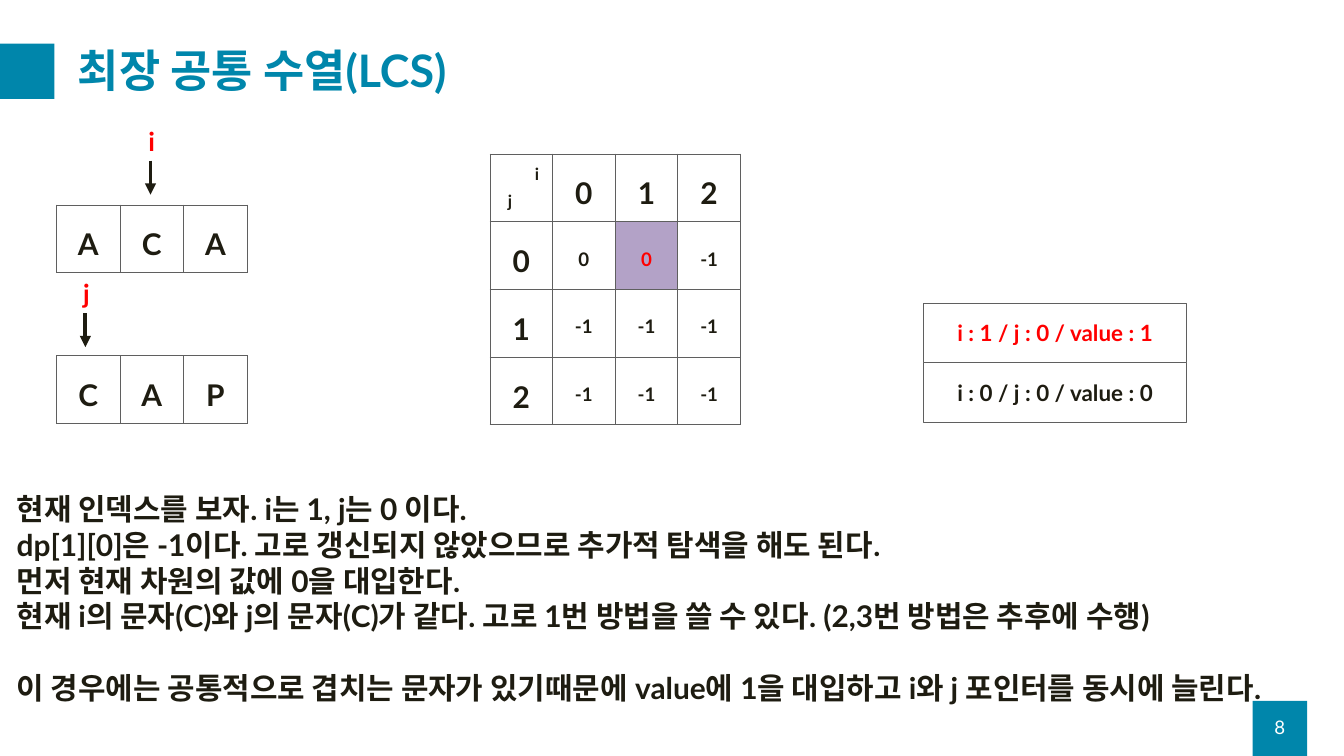
from lxml import etree
from pptx import Presentation
from pptx.dml.color import RGBColor
from pptx.enum.shapes import MSO_CONNECTOR, MSO_SHAPE
from pptx.enum.text import MSO_ANCHOR, MSO_AUTO_SIZE, PP_ALIGN
from pptx.oxml import parse_xml
from pptx.oxml.ns import nsdecls, qn
from pptx.util import Inches, Pt

RECTANGLE = MSO_SHAPE.RECTANGLE
STRAIGHT = MSO_CONNECTOR.STRAIGHT
MIDDLE = MSO_ANCHOR.MIDDLE
LEFT, CENTER = PP_ALIGN.LEFT, PP_ALIGN.CENTER
TEAL, INK, RED, WHITE = "0086AB", "1E1C11", "FF0000", "FFFFFF"
GRAY, PURPLE = "5F5F5F", "B3A2C7"
rgb = RGBColor.from_string

deck = Presentation()
deck.slide_width, deck.slide_height = Inches(20), Inches(11.25)
page = deck.slides.add_slide(deck.slide_layouts[5])
shapes = page.shapes


def place(left, top, width, height):
    column, row = deck.slide_width / 100, deck.slide_height / 100
    return [round(n) for n in (left * column, top * row, width * column, height * row)]


def write(para, text, size, color=INK, bold=True, align=LEFT):
    para.text = text
    para.alignment = align
    para.font.name = "Lato"
    para.font.size = Pt(size)
    para.font.bold = bold
    para.font.color.rgb = rgb(color)


for left, top in ((93.2, 92.71), (0, 5.78)):
    block = shapes.add_shape(RECTANGLE, *place(left, top, 4.05, 7.29))
    block.shadow.inherit = False
    block.fill.solid()
    block.fill.fore_color.rgb = rgb(TEAL)
    block.line.fill.background()

title = shapes.title
title.left, title.top, title.width, title.height = place(5.3, 4.44, 91.25, 10.49)
title.text_frame.auto_size = MSO_AUTO_SIZE.NONE
title.text_frame.vertical_anchor = MIDDLE
write(title.text_frame.paragraphs[0], "최장 공통 수열(LCS)", 48, TEAL)
title.text_frame.paragraphs[0].line_spacing = 0.9

number = shapes.add_textbox(*place(93.2, 93.51, 4.05, 5.33)).text_frame
number.word_wrap = True
number.vertical_anchor = MIDDLE
write(number.paragraphs[0], "8", 20, WHITE, False, CENTER)

explanation = [
    "현재 인덱스를 보자. i는 1, j는 0 이다.",
    "dp[1][0]은 -1이다. 고로 갱신되지 않았으므로 추가적 탐색을 해도 된다.",
    "먼저 현재 차원의 값에 0을 대입한다.",
    "현재 i의 문자(C)와 j의 문자(C)가 같다. 고로 1번 방법을 쓸 수 있다. (2,3번 방법은 추후에 수행)",
    "이 경우에는 공통적으로 겹치는 문자가 있기때문에 value에 1을 대입하고 i와 j 포인터를 동시에 늘린다.",
]
body = shapes.add_textbox(*place(0.75, 64.44, 95.8, 34.4)).text_frame
body.word_wrap = True
for index, sentence in enumerate(explanation):
    para = body.paragraphs[0] if index == 0 else body.add_paragraph()
    write(para, sentence, 32)
body.paragraphs[-1].space_before = Pt(38.4)

dp_rows = [
    ["", "0", "1", "2"],
    ["0", "0", "0", "-1"],
    ["1", "-1", "-1", "-1"],
    ["2", "-1", "-1", "-1"],
]
row_height = 8.96
tables = [
    (4.2, 27.11, 14.2, ["ACA"]),
    (4.2, 47.02, 14.2, ["CAP"]),
    (36.45, 20.36, 18.65, dp_rows),
]
for left, top, width, rows in tables:
    area = place(left, top, width, row_height * len(rows))
    table = shapes.add_table(len(rows), len(rows[0]), *area).table
    table.first_row = table.horz_banding = False
    for r, values in enumerate(rows):
        for c, value in enumerate(values):
            cell = table.cell(r, c)
            current = (r, c) == (1, 2)
            header = r == 0 or c == 0
            for side in ("lnL", "lnR", "lnT", "lnB"):
                cell._tc.get_or_add_tcPr().append(parse_xml(
                    f'<a:{side} {nsdecls("a")} w="12700"><a:solidFill>'
                    f'<a:srgbClr val="{GRAY}"/></a:solidFill></a:{side}>'))
            if current:
                cell.fill.solid()
                cell.fill.fore_color.rgb = rgb(PURPLE)
            else:
                cell.fill.background()
            if value:
                para = cell.text_frame.paragraphs[0]
                write(para, value, 32 if header else 20, RED if current else INK, align=CENTER)
                para.line_spacing = 1.5 if header else 2.0

pointers = [("i", 11.2, 21.24), ("j", 6.35, 41.42)]
for name, x, top in pointers:
    start_x, start_y, _, length = place(x, top, 0, 4.5)
    arrow = shapes.add_connector(STRAIGHT, start_x, start_y, start_x, start_y + length)
    arrow.line.color.rgb = rgb(INK)
    arrow.line.width = Pt(4)
    etree.SubElement(arrow.line._get_or_add_ln(), qn("a:tailEnd"), type="triangle")
    etree.SubElement(arrow._element.spPr, qn("a:effectLst"))

labels = [(name, x - 0.65, top - 5.15, 5.07, 28, RED) for name, x, top in pointers]
labels += [("i", 39.3, 21.24, 3.56, 18, INK), ("j", 37.3, 24.8, 3.56, 18, INK)]
for name, left, top, height, size, color in labels:
    label = shapes.add_textbox(*place(left, top, 5.3, height)).text_frame
    label.word_wrap = True
    write(label.paragraphs[0], name, size, color)

stack = [("i : 0 / j : 0 / value : 0", 48, INK), ("i : 1 / j : 0 / value : 1", 40.09, RED)]
for state, top, color in stack:
    box = shapes.add_shape(RECTANGLE, *place(68.7, top, 19.6, 7.91))
    box.shadow.inherit = False
    box.fill.solid()
    box.fill.fore_color.rgb = rgb(WHITE)
    box.line.color.rgb = rgb(GRAY)
    box.line.width = Pt(1)
    box.text_frame.vertical_anchor = MIDDLE
    write(box.text_frame.paragraphs[0], state, 24, color, align=CENTER)

deck.save("out.pptx")
